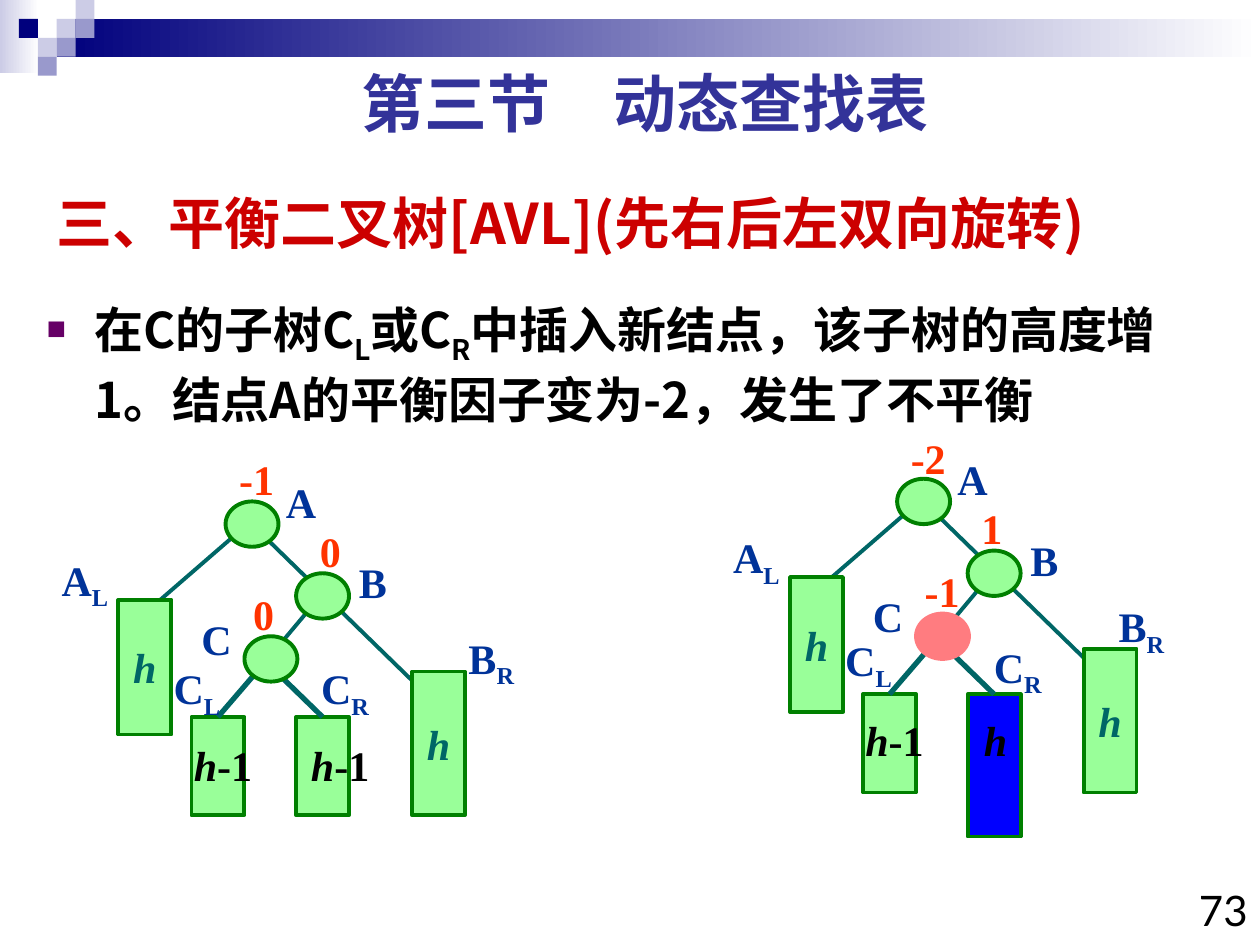
from lxml import etree
from pptx import Presentation
from pptx.dml.color import RGBColor
from pptx.enum.shapes import MSO_CONNECTOR, MSO_SHAPE
from pptx.enum.text import MSO_ANCHOR, PP_ALIGN
from pptx.oxml.ns import qn
from pptx.util import Inches, Pt

RECTANGLE, OVAL = MSO_SHAPE.RECTANGLE, MSO_SHAPE.OVAL
STRAIGHT = MSO_CONNECTOR.STRAIGHT
LEFT, CENTER, RIGHT = PP_ALIGN.LEFT, PP_ALIGN.CENTER, PP_ALIGN.RIGHT
TOP, MIDDLE = MSO_ANCHOR.TOP, MSO_ANCHOR.MIDDLE
TOP_SIDE = 0

COLORS = {
    "navy": "00007D", "lavender": "CCCCE6", "violet": "9999CC", "white": "FFFFFF",
    "heading": "333399", "subtitle": "CC0000", "black": "000000", "bullet": "660066",
    "balance": "FF3300", "name": "003399", "edge": "006666", "green": "99FF99",
    "outline": "008000", "pink": "FF7C80", "blue": "0000FF",
}
SANS, CJK, SERIF = "Lato", "Noto Sans CJK SC", "Times New Roman"
WIDTH, HEIGHT = 10, 7.5
SQUARE = 0.15
NODE_WIDTH, NODE_HEIGHT = 0.42, 0.36

BANDS = [((0, 0, 0.31, 0.58), "lavender"), ((0.45, 0.15, 9.55, 0.3), "navy")]
SQUARES = [
    (3, 1, "lavender"), (4, 0, "lavender"), (4, 1, "violet"), (2, 2, "lavender"),
    (1, 1, "navy"), (3, 2, "violet"), (2, 3, "violet"),
]
HEADING = [("第三节　动态查找表", "")]
SUBTITLE = [("三、平衡二叉树[AVL](先右后左双向旋转)", "")]
BODY = [
    ("在C的子树C", ""), ("L", "sub"), ("或C", ""), ("R", "sub"),
    ("中插入新结点，该子树的高度增1。结点A的平衡因子变为-2，发生了不平衡", ""),
]
PAGE_NUMBER = [("73", "")]

NODES = {"A": (0.85, 0), "B": (1.41, 0.57), "C": (1, 1.07)}
SUBTREES = {"AL": (0, 0.78, 1.07), "BR": (2.33, 1.35, 1.14),
            "CL": (0.58, 1.71, 0.78), "CR": (1.41, 1.71, 0.78)}
LONG_EDGES = [((0.91, 0.28), (0.16, 0.93)), ((1.16, 0.28), (2.33, 1.42)),
              ((1.52, 0.85), (1.16, 1.28))]
LEAF_EDGES = {"CL": (1.16, 1.28), "CR": (1.25, 1.35)}
NAMES = {"A": (1.23, -0.25), "B": (1.81, 0.39), "C": (0.56, 0.84), "AL": (-0.55, 0.37)}
TREES = [
    {
        "origin": (0.94, 3.98), "colors": {}, "heights": {},
        "balances": [("-1", 0.86, -0.43), ("0", 1.5, 0.14), ("0", 0.97, 0.64)],
        "names": {"BR": (2.68, 0.99), "CL": (0.34, 1.23), "CR": (1.51, 1.23)},
        "leaves": [("h", "-1", 0.5, 1.84), ("h", "-1", 1.43, 1.84)],
    },
    {
        "origin": (6.27, 3.8), "colors": {"C": "pink", "CR": "blue"}, "heights": {"CR": 1.13},
        "balances": [("-2", 0.86, -0.42), ("1", 1.42, 0.14), ("-1", 0.97, 0.64)],
        "names": {"BR": (2.51, 0.92), "CL": (0.34, 1.19), "CR": (1.52, 1.24)},
        "leaves": [("h", "-1", 0.5, 1.82), ("h", "", 1.44, 1.82)],
    },
]


def color(name):
    return RGBColor.from_string(COLORS[name])


def write(shape, runs, font, size, ink, bold=True, align=LEFT, anchor=TOP, wrap=True):
    frame = shape.text_frame
    frame.word_wrap = wrap
    frame.vertical_anchor = anchor
    paragraph = frame.paragraphs[0]
    paragraph.alignment = align
    for text, style in runs:
        run = paragraph.add_run()
        run.text = text
        run.font.size, run.font.bold = Pt(size), bold
        run.font.italic = style == "italic"
        run.font.color.rgb = color(ink)
        run.font.name = font
        properties = run.font._element
        etree.SubElement(properties, qn("a:ea"), typeface=CJK)
        if style == "sub":
            properties.set("baseline", "-25000")
    return paragraph


def add_text(slide, box, runs, font, size, ink, **layout):
    shape = slide.shapes.add_textbox(*map(Inches, box))
    return write(shape, runs, font, size, ink, **layout)


def add_block(slide, kind, box, fill, outline=None):
    shape = slide.shapes.add_shape(kind, *map(Inches, box))
    shape.shadow.inherit = False
    shape.fill.solid()
    shape.fill.fore_color.rgb = color(fill)
    if outline:
        shape.line.color.rgb = color(outline)
        shape.line.width = Pt(2.25)
    else:
        shape.line.fill.background()
    return shape


def add_edge(slide, start, end, width):
    edge = slide.shapes.add_connector(STRAIGHT, *map(Inches, (*start, *end)))
    edge.line.color.rgb = color("edge")
    edge.line.width = Pt(width)
    etree.SubElement(edge._element.spPr, qn("a:effectLst"))
    return edge


def add_header(slide):
    for box, start in BANDS:
        fill = add_block(slide, RECTANGLE, box, start).fill
        fill.gradient()
        fill.gradient_angle = 0
        for stop, name, position in zip(fill.gradient_stops, (start, "white"), (0, 1)):
            stop.color.rgb = color(name)
            stop.position = position
    for column, row, fill in SQUARES:
        add_block(slide, RECTANGLE, (column * SQUARE, row * SQUARE, SQUARE, SQUARE), fill)


def add_body(slide):
    paragraph = add_text(slide, (0.27, 2.3, 9.58, 4.42), BODY, CJK, 28, "black")
    properties = paragraph._p.get_or_add_pPr()
    properties.set("marL", str(Inches(0.38)))
    properties.set("indent", str(-Inches(0.38)))
    bullet_color = etree.SubElement(properties, qn("a:buClr"))
    etree.SubElement(bullet_color, qn("a:srgbClr"), val=COLORS["bullet"])
    etree.SubElement(properties, qn("a:buSzPct"), val="55000")
    etree.SubElement(properties, qn("a:buChar"), char="■")
    paragraph.line_spacing = 1.05


def add_tree(slide, tree):
    left, top = tree["origin"]

    def place(x, y):
        return left + x, top + y

    def add_label(x, y, runs, ink):
        width = 0.66 if len(runs) > 1 else 0.48
        add_text(slide, (*place(x, y), width, 0.5), runs, SERIF, 24, ink, wrap=False)

    for start, end in LONG_EDGES:
        add_edge(slide, place(*start), place(*end), 2.25)
    for name, (x, y, height) in SUBTREES.items():
        box = (*place(x, y), NODE_WIDTH, tree["heights"].get(name, height))
        shape = add_block(slide, RECTANGLE, box, tree["colors"].get(name, "green"), "outline")
        if name in LEAF_EDGES:
            edge = add_edge(slide, place(*LEAF_EDGES[name]), place(x, y), 3)
            edge.end_connect(shape, TOP_SIDE)
        else:
            write(shape, [("h", "italic")], SERIF, 24, "edge",
                  align=CENTER, anchor=MIDDLE, wrap=False)
    for name, position in NODES.items():
        fill = tree["colors"].get(name, "green")
        outline = "outline" if fill == "green" else fill
        add_block(slide, OVAL, (*place(*position), NODE_WIDTH, NODE_HEIGHT), fill, outline)
    for name, (x, y) in {**NAMES, **tree["names"]}.items():
        runs = [(name[0], "")] + [(letter, "sub") for letter in name[1:]]
        add_label(x, y, runs, "name")
    for value, x, y in tree["balances"]:
        add_label(x, y, [(value, "")], "balance")
    for variable, rest, x, y in tree["leaves"]:
        add_label(x, y, [(variable, "italic")] + ([(rest, "")] if rest else []), "black")


def main():
    """Build the slide on double rotation in a balanced binary tree."""
    presentation = Presentation()
    presentation.slide_width, presentation.slide_height = Inches(WIDTH), Inches(HEIGHT)
    slide = presentation.slides.add_slide(presentation.slide_layouts[6])
    add_header(slide)
    add_text(slide, (0.35, 1.39, 8.83, 0.75), SUBTITLE, CJK, 32, "subtitle", anchor=MIDDLE)
    add_text(slide, (9.33, 6.97, 0.67, 0.59), PAGE_NUMBER, SANS, 24, "black",
             bold=False, align=RIGHT)
    add_body(slide)
    for tree in TREES:
        add_tree(slide, tree)
    add_text(slide, (0.49, 0.46, 9.25, 0.7), HEADING, SANS, 36, "heading", align=CENTER)
    presentation.save("out.pptx")


if __name__ == "__main__":
    main()
